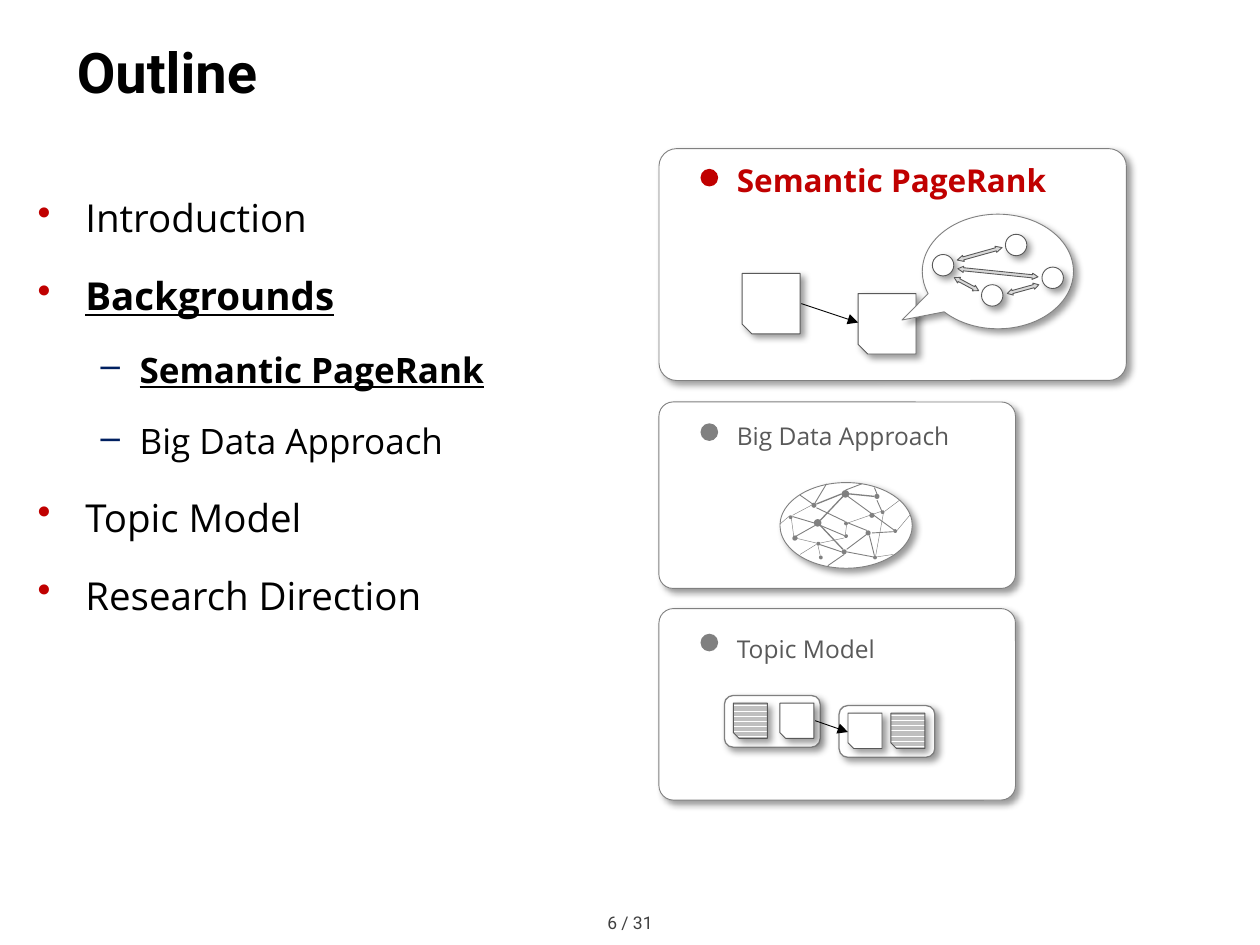
from lxml.etree import SubElement
from pptx import Presentation
from pptx.dml.color import RGBColor
from pptx.enum.dml import MSO_PATTERN
from pptx.enum.shapes import MSO_CONNECTOR, MSO_SHAPE as Shape
from pptx.enum.text import MSO_ANCHOR, MSO_AUTO_SIZE, PP_ALIGN
from pptx.oxml.ns import qn
from pptx.util import Inches, Pt

BLACK = RGBColor(0x00, 0x00, 0x00)
WHITE = RGBColor(0xFF, 0xFF, 0xFF)
RED = RGBColor(0xC0, 0x00, 0x00)
NAVY = RGBColor(0x00, 0x20, 0x60)
CHARCOAL = RGBColor(0x40, 0x40, 0x40)
DARK_GRAY = RGBColor(0x59, 0x59, 0x59)
GRAY = RGBColor(0x80, 0x80, 0x80)
STRIPE_GRAY = RGBColor(0xBF, 0xBF, 0xBF)
ARROW_GRAY = RGBColor(0xD9, 0xD9, 0xD9)

OUTLINE = [
    ("Introduction", 0, False),
    ("Backgrounds", 0, True),
    ("Semantic PageRank", 1, True),
    ("Big Data Approach", 1, False),
    ("Topic Model", 0, False),
    ("Research Direction", 0, False),
]
LEVELS = [("•", RED, 22, 0.38, 0.38), ("–", NAVY, 20, 0.81, 0.31)]

# Network geometry is in hundredths of an inch from the corner of its ellipse.
NETWORK_NODES = [
    (25, 16, 4), (29, 47, 3), (51, 31, 3), (74, 58, 3), (80, 22, 3), (90, 37, 3),
    (49, 53, 4), (27, 29, 6), (75, 9, 4), (68, 38, 4), (7, 26, 3), (49, 6, 6),
    (51, 41, 3), (10, 43, 3), (31, 58, 3), (10, 42, 4), (71, 24, 4),
]
NETWORK_LINKS = {
    0.75: [(50, 11, 32, 30), (55, 9, 75, 11), (49, 9, 29, 17), (50, 53, 32, 34)],
    0.5: [
        (52, 31, 29, 20), (91, 38, 54, 11), (69, 41, 53, 53), (49, 55, 31, 49),
        (74, 59, 53, 55), (71, 42, 75, 58), (69, 38, 54, 32), (77, 14, 81, 23),
        (90, 39, 73, 40), (26, 17, 16, 10), (28, 16, 37, 1), (77, 9, 75, 4),
        (52, 6, 65, 1), (32, 34, 51, 42), (28, 34, 12, 43), (27, 32, 10, 27),
        (51, 57, 38, 66),
    ],
    0.25: [
        (25, 18, 10, 26), (80, 23, 54, 32), (95, 14, 83, 23), (53, 33, 52, 41),
        (51, 44, 32, 48), (9, 28, 11, 43), (12, 44, 29, 48), (29, 49, 16, 57),
        (7, 27, 0, 33), (82, 25, 76, 58), (77, 59, 90, 57), (30, 49, 32, 58),
        (103, 26, 93, 38),
    ],
}


def add_part(shapes, kind, left, top, width, height, fill=WHITE, line=DARK_GRAY,
             weight=0.5, shadow=True, rotation=0, adjust=()):
    """Add a preset shape with its fill, outline and optional soft shadow."""
    part = shapes.add_shape(kind, Inches(left), Inches(top), Inches(width), Inches(height))
    part.rotation = rotation
    for index, value in enumerate(adjust):
        part.adjustments[index] = value
    part.fill.solid()
    part.fill.fore_color.rgb = fill
    if line is None:
        part.line.fill.background()
    else:
        part.line.color.rgb = line
        part.line.width = Pt(weight)
    part.shadow.inherit = False
    if shadow:
        effects = part._element.spPr.find(qn("a:effectLst"))
        outer = SubElement(effects, qn("a:outerShdw"), blurRad=str(Pt(4)), dist=str(Pt(3)),
                           dir=str(45 * 60000), algn="tl", rotWithShape="0")
        tint = SubElement(outer, qn("a:srgbClr"), val=str(BLACK))
        SubElement(tint, qn("a:alpha"), val="40000")
    return part


def add_link(shapes, x1, y1, x2, y2, color, weight, arrow=False):
    """Add a straight line, with an arrowhead at its end on request."""
    link = shapes.add_connector(MSO_CONNECTOR.STRAIGHT, Inches(x1), Inches(y1), Inches(x2), Inches(y2))
    link.line.color.rgb = color
    link.line.width = Pt(weight)
    if arrow:
        SubElement(link.line._get_or_add_ln(), qn("a:tailEnd"), type="triangle")
    SubElement(link._element.spPr, qn("a:effectLst"))


def add_page(shapes, left, top, width, height, striped=False):
    """Add a page icon with its lower left corner cut off."""
    page = add_part(shapes, Shape.SNIP_1_RECTANGLE, left, top, width, height, rotation=180)
    if striped:
        page.fill.patterned()
        page.fill.pattern = MSO_PATTERN.DARK_HORIZONTAL
        page.fill.fore_color.rgb = STRIPE_GRAY
        page.fill.back_color.rgb = WHITE


def add_label(shapes, left, top, width, height, text, font_name, size, color, bold=False):
    """Add a one-line text box and return its paragraph."""
    label = shapes.add_textbox(Inches(left), Inches(top), Inches(width), Inches(height))
    label.text_frame.word_wrap = True
    label.text_frame.auto_size = MSO_AUTO_SIZE.SHAPE_TO_FIT_TEXT
    label.text_frame.text = text
    paragraph = label.text_frame.paragraphs[0]
    font = paragraph.runs[0].font
    font.name, font.size, font.bold = font_name, Pt(size), bold
    font.color.rgb = color
    return paragraph


def add_title(slide, left, top, width, height):
    """Place and format the slide title."""
    title = slide.shapes.title
    title.left, title.top, title.width, title.height = map(Inches, (left, top, width, height))
    title.text_frame.text = "Outline"
    title.text_frame.vertical_anchor = MSO_ANCHOR.MIDDLE
    heading = title.text_frame.paragraphs[0]
    heading.alignment = PP_ALIGN.LEFT
    font = heading.runs[0].font
    font.name, font.size, font.bold = "Roboto", Pt(32), True
    font.color.rgb = BLACK


def add_outline(slide, left, top, width, height):
    """Write the two-level outline with coloured bullets."""
    outline = slide.shapes.add_textbox(Inches(left), Inches(top), Inches(width), Inches(height))
    frame = outline.text_frame
    frame.word_wrap = True
    frame.text = "\n".join(topic for topic, _, _ in OUTLINE)
    for paragraph, (_, level, current) in zip(frame.paragraphs, OUTLINE):
        bullet, color, size, margin, hanging = LEVELS[level]
        paragraph.level = level
        properties = paragraph._p.get_or_add_pPr()
        properties.set("marL", str(Inches(margin)))
        properties.set("indent", str(-Inches(hanging)))
        SubElement(SubElement(properties, qn("a:buClr")), qn("a:srgbClr"), val=str(color))
        SubElement(properties, qn("a:buChar"), char=bullet)
        paragraph.line_spacing = 1.5
        paragraph.space_after = Pt(5)
        font = paragraph.runs[0].font
        font.name, font.size = "Open Sans", Pt(size)
        font.bold = font.underline = current
        font.color.rgb = BLACK


def add_panel(slide, left, top, width, height, heading, dot_top, label_top, active=False):
    """Draw a rounded panel with its dot and heading."""
    shapes = slide.shapes
    add_part(shapes, Shape.ROUNDED_RECTANGLE, left, top, width, height, line=GRAY, adjust=[0.076])
    add_part(shapes, Shape.OVAL, left + 0.33, top + dot_top, 0.14, 0.14,
             fill=RED if active else GRAY, line=None, shadow=False)
    paragraph = add_label(shapes, left + 0.52, top + label_top, width - 0.6, 0.42, heading, "Open Sans",
                          18 if active else 14, RED if active else DARK_GRAY, active)
    paragraph.line_spacing = Pt(25)


def add_pagerank_panel(slide, left, top, width, height):
    """Draw two linked pages and the concept graph in a callout."""
    add_panel(slide, left, top, width, height, "Semantic PageRank", 0.16, 0, active=True)
    shapes = slide.shapes.add_group_shape().shapes
    for x, y in [(1.58, 1.15), (0.66, 0.99)]:
        add_page(shapes, left + x, top + y, 0.46, 0.48)
    add_link(shapes, left + 1.13, top + 1.23, left + 1.58, top + 1.38, BLACK, 0.5, arrow=True)
    add_part(shapes, Shape.OVAL_CALLOUT, left + 2.09, top + 0.52, 1.2, 0.91, line=GRAY,
             adjust=[-0.634, 0.423])
    for x, y in [(2.75, 0.68), (2.56, 1.08), (3.04, 0.94), (2.17, 0.84)]:
        add_part(shapes, Shape.OVAL, left + x, top + y, 0.17, 0.17)
    for x, y, length, angle, head in [(2.36, 0.81, 0.37, 344.4, 1.03), (2.33, 1.05, 0.22, 28.2, 0.87),
                                      (2.37, 0.96, 0.64, 5.8, 0.91), (2.76, 1.09, 0.26, 344.5, 0.85)]:
        add_part(shapes, Shape.LEFT_RIGHT_ARROW, left + x, top + y, length, 0.05, fill=ARROW_GRAY,
                 shadow=False, rotation=angle, adjust=[0.5, head])


def add_big_data_panel(slide, left, top, width, height):
    """Draw the ellipse filled with a network of nodes and links."""
    add_panel(slide, left, top, width, height, "Big Data Approach", 0.17, -0.01)
    shapes = slide.shapes.add_group_shape().shapes
    x0, y0 = left + 0.96, top + 0.64
    add_part(shapes, Shape.OVAL, x0, y0, 1.05, 0.68, line=GRAY)
    for x, y, size in NETWORK_NODES:
        add_part(shapes, Shape.OVAL, x0 + x / 100, y0 + y / 100, size / 100, size / 100,
                 fill=GRAY, line=None, shadow=False)
    for weight, links in NETWORK_LINKS.items():
        for x1, y1, x2, y2 in links:
            add_link(shapes, x0 + x1 / 100, y0 + y1 / 100, x0 + x2 / 100, y0 + y2 / 100, GRAY, weight)


def add_topic_panel(slide, left, top, width, height):
    """Draw two framed page pairs joined by an arrow."""
    add_panel(slide, left, top, width, height, "Topic Model", 0.2, 0.04)
    shapes = slide.shapes.add_group_shape().shapes
    for x, y, striped_x, plain_x in [(0.52, 0.69, 0.07, 0.44), (1.43, 0.77, 0.41, 0.07)]:
        add_part(shapes, Shape.ROUNDED_RECTANGLE, left + x, top + y, 0.76, 0.41, line=GRAY, weight=0.75)
        for page_x, striped in [(striped_x, True), (plain_x, False)]:
            add_page(shapes, left + x + page_x, top + y + 0.06, 0.27, 0.28, striped)
    add_link(shapes, left + 1.24, top + 0.89, left + 1.5, top + 0.98, BLACK, 0.5, arrow=True)


def main():
    """Build the outline slide and save it."""
    deck = Presentation()
    deck.slide_width, deck.slide_height = Inches(10), Inches(7.5)
    slide = deck.slides.add_slide(deck.slide_layouts[5])
    add_title(slide, 0.51, 0.13, 9.29, 0.87)
    add_outline(slide, 0.2, 1.31, 4.9, 5.83)
    add_big_data_panel(slide, 5.23, 3.19, 2.83, 1.48)
    add_topic_panel(slide, 5.23, 4.83, 2.83, 1.52)
    add_pagerank_panel(slide, 5.23, 1.18, 3.71, 1.84)
    page_number = add_label(slide.shapes, 0, 7.19, 10, 0.27, "6 / 31", "Roboto", 10, CHARCOAL)
    page_number.alignment = PP_ALIGN.CENTER
    deck.save("out.pptx")


if __name__ == "__main__":
    main()
